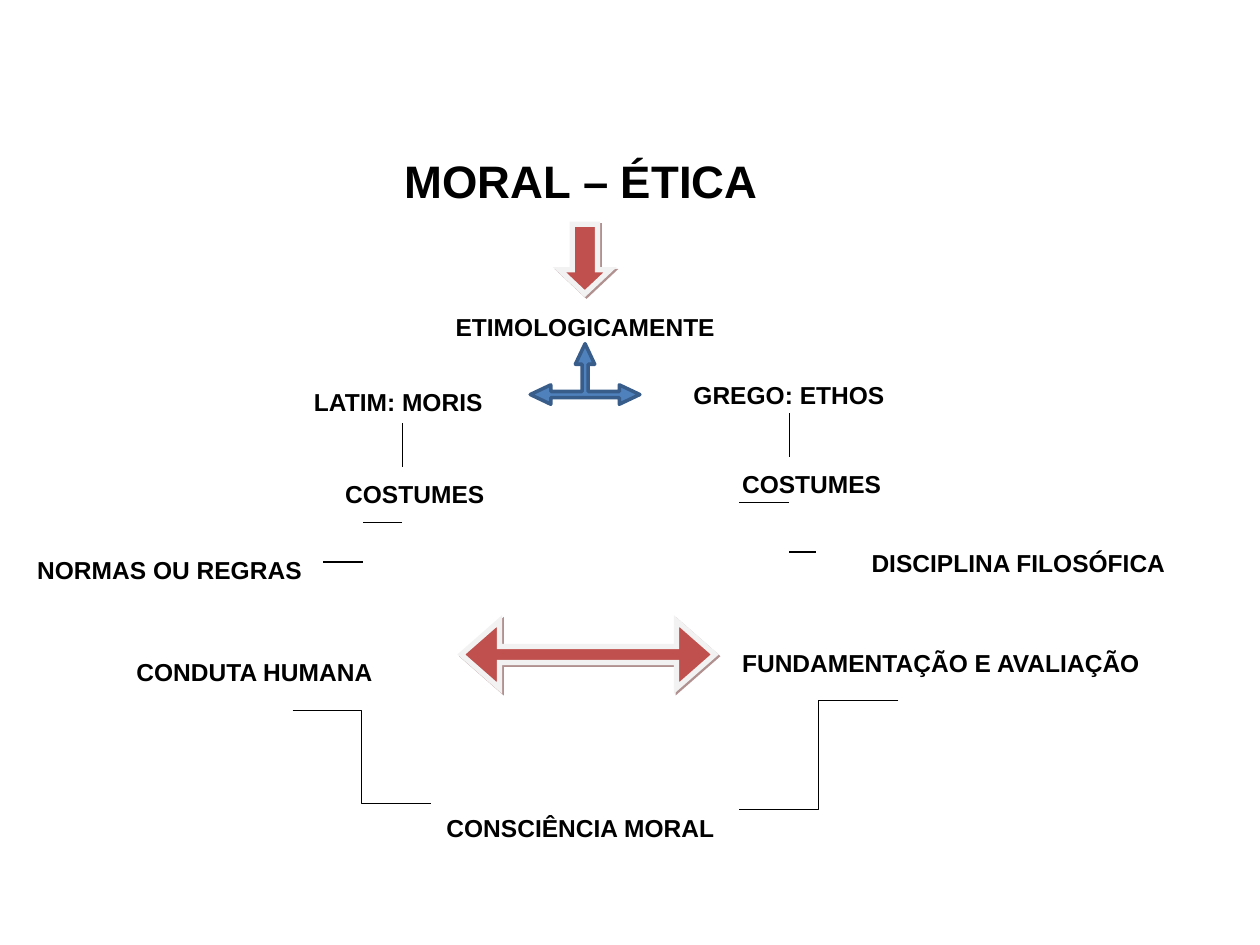
from lxml import etree
from pptx import Presentation
from pptx.dml.color import RGBColor
from pptx.enum.shapes import MSO_CONNECTOR as Link, MSO_SHAPE as Shape
from pptx.enum.text import MSO_ANCHOR as Anchor, MSO_AUTO_SIZE as AutoSize, PP_ALIGN as Align
from pptx.oxml import parse_xml
from pptx.oxml.ns import qn
from pptx.util import Cm, Pt


def color(hex_string):
    return RGBColor.from_string(hex_string)


def write(frame, wording, size, align):
    """Fill a text frame with one bold black Arial line."""
    layout = {"vertical_anchor": Anchor.TOP, "auto_size": AutoSize.NONE, "word_wrap": True}
    for attribute, value in layout.items():
        setattr(frame, attribute, value)
    paragraph = frame.paragraphs[0]
    paragraph.alignment = align
    run = paragraph.add_run()
    run.text = wording
    for attribute, value in {"name": "Arial", "size": Pt(size), "bold": True}.items():
        setattr(run.font, attribute, value)
    run.font.color.rgb = color("000000")


prs = Presentation()
prs.slide_width, prs.slide_height = Cm(25.4), Cm(19.05)
slide = prs.slides.add_slide(prs.slide_layouts[5])
shapes = slide.shapes

# Heading
heading = shapes.title
heading_box = {"left": 7.9, "top": 2.95, "width": 8.4, "height": 2.46}
for side, length in heading_box.items():
    setattr(heading, side, Cm(length))
write(heading.text_frame, "MORAL – ÉTICA", 26, Align.LEFT)

# Block arrows: preset, box, adjustments, fill, line, line width, raised
RED, PALE, BLUE, NAVY = "C0504D", "F2F2F2", "4F81BD", "385D8A"
arrows = [
    (Shape.LEFT_RIGHT_ARROW, (9.3, 12.52, 5.11, 1.35), (0.24, 0.57), RED, PALE, 3, True),
    (Shape.DOWN_ARROW, (11.28, 4.52, 1.02, 1.4), (0.5, 0.47), RED, PALE, 3, True),
    (Shape.LEFT_RIGHT_UP_ARROW, (10.69, 6.93, 2.21, 1.22), (0.1, 0.16, 0.34),
     BLUE, NAVY, 2, False),
]
shadow_xml = (
    '<a:outerShdw xmlns:a="http://schemas.openxmlformats.org/drawingml/2006/main"'
    ' dist="17780" dir="2700000" algn="ctr" rotWithShape="0">'
    '<a:srgbClr val="622423"><a:alpha val="50000"/></a:srgbClr></a:outerShdw>'
)
for preset, box, adjustments, fill, line, width, raised in arrows:
    arrow = shapes.add_shape(preset, *map(Cm, box))
    for index, value in enumerate(adjustments):
        arrow.adjustments[index] = value
    arrow.fill.solid()
    arrow.fill.fore_color.rgb = color(fill)
    arrow.line.color.rgb = color(line)
    arrow.line.width = Pt(width)
    arrow.shadow.inherit = False
    if raised:  # sharp corners and a shadow
        properties = arrow.element.spPr
        etree.SubElement(properties.find(qn("a:ln")), qn("a:miter"), lim="800000")
        properties.find(qn("a:effectLst")).append(parse_xml(shadow_xml))

# Concepts: wording, left, top, width, alignment
concepts = [
    ("ETIMOLOGICAMENTE", 7.9, 6.17, 7.8, Align.CENTER),
    ("LATIM: MORIS", 6.08, 7.67, 4.4, Align.LEFT),
    ("GREGO: ETHOS", 13.73, 7.53, 4.9, Align.LEFT),
    ("COSTUMES", 6.71, 9.53, 3.9, Align.LEFT),
    ("COSTUMES", 14.71, 9.33, 3.9, Align.LEFT),
    ("NORMAS OU REGRAS", 0.5, 11.07, 6.4, Align.LEFT),
    ("DISCIPLINA FILOSÓFICA", 17.32, 10.92, 7, Align.LEFT),
    ("CONDUTA HUMANA", 2.5, 13.13, 5.9, Align.LEFT),
    ("FUNDAMENTAÇÃO E AVALIAÇÃO", 14.71, 12.93, 9.8, Align.LEFT),
    ("CONSCIÊNCIA MORAL", 8.75, 16.26, 6.5, Align.LEFT),
]
for wording, left, top, width, align in concepts:
    concept = shapes.add_textbox(Cm(left), Cm(top), Cm(width), Cm(0.86))
    write(concept.text_frame, wording, 14, align)

# Links between concepts: start x, start y, end x, end y
links = [
    (5.9, 14.33, 8.69, 16.2),
    (18.11, 14.12, 14.9, 16.32),
    (8.11, 8.53, 8.11, 9.42),
    (15.91, 8.33, 15.91, 9.22),
    (8.11, 10.54, 7.31, 10.54),
    (15.91, 10.13, 14.9, 10.13),
    (15.91, 11.13, 16.46, 11.13),
    (7.31, 11.33, 6.51, 11.33),
]
for ends in links:
    link = shapes.add_connector(Link.ELBOW, *map(Cm, ends))
    link.line.color.rgb = color("000000")
    link.line.width = Pt(0.75)
    etree.SubElement(link.element.spPr, qn("a:effectLst"))

prs.save("out.pptx")
